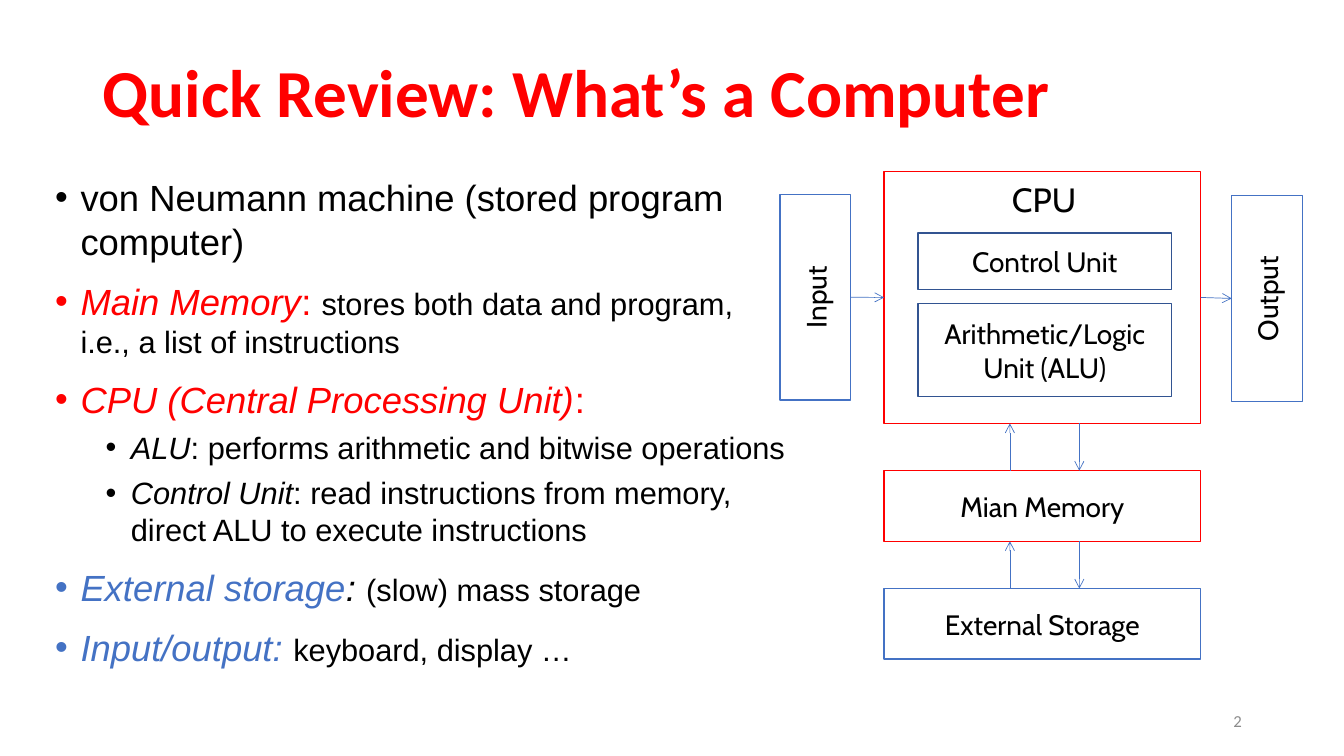
from dataclasses import dataclass
from lxml.etree import SubElement as Sub
from pptx import Presentation
from pptx.dml.color import RGBColor as RGB
from pptx.enum.shapes import MSO_CONNECTOR as Line, MSO_SHAPE as Shape
from pptx.enum.text import MSO_ANCHOR as Anchor, PP_ALIGN as Align
from pptx.oxml.ns import qn
from pptx.util import Cm, Pt


@dataclass(frozen=True)
class Theme:
    red: str = "FF0000"
    blue: str = "4472C4"
    navy: str = "325491"
    black: str = "000000"
    white: str = "FFFFFF"
    gray: str = "8C8C8C"
    head: str = "Calibri"
    body: str = "Arial"
    label: str = "Cabin"
    title: int = 48
    big: int = 26
    cpu: int = 24
    mid: int = 22
    box: int = 20
    small: int = 12


T = Theme()


class Board:
    def __init__(self, slide, theme):
        self.shapes = slide.shapes
        self.theme = theme

    def style(self, font, name=None, size=None, color=None, bold=None, italic=None):
        """Set only the font traits that are given."""
        if name:
            font.name = name
        if size:
            font.size = Pt(size)
        if color:
            font.color.rgb = RGB.from_string(color)
        if bold is not None:
            font.bold = bold
        if italic is not None:
            font.italic = italic

    def frame(self, x, y, w, h, anchor=Anchor.TOP):
        frame = self.shapes.add_textbox(Cm(x), Cm(y), Cm(w), Cm(h)).text_frame
        frame.word_wrap = True
        frame.vertical_anchor = anchor
        return frame

    def text(self, words, area, align=Align.LEFT, anchor=Anchor.MIDDLE, **font):
        para = self.frame(*area, anchor).paragraphs[0]
        para.text = words
        para.alignment = align
        self.style(para.font, **font)
        return para

    def bullets(self, area, items):
        """Each item is a level and its runs: words, size, color, italic."""
        frame = self.frame(*area)
        for i, (level, runs) in enumerate(items):
            para = frame.add_paragraph() if i else frame.paragraphs[0]
            para.level = level
            if i:
                para.space_before = Pt(6 if level else 12)
            props = para._p.get_or_add_pPr()
            props.set("marL", str(Cm(1.91 if level else 0.64)))
            props.set("indent", str(Cm(-0.64)))
            Sub(props, qn("a:buFont")).set("typeface", self.theme.body)
            Sub(props, qn("a:buChar")).set("char", "•")
            self.style(para.font, name=self.theme.body)
            for words, size, color, italic in runs:
                run = para.add_run()
                run.text = words
                self.style(run.font, size=size, color=color, italic=italic)

    def box(self, words, color, x, y, w, h, turn=0):
        box = self.shapes.add_shape(Shape.RECTANGLE, Cm(x), Cm(y), Cm(w), Cm(h))
        box.shadow.inherit = False
        box.rotation = turn
        box.fill.solid()
        box.fill.fore_color.rgb = RGB.from_string(self.theme.white)
        box.line.color.rgb = RGB.from_string(color)
        box.line.width = Pt(1)
        if words:
            frame = box.text_frame
            frame.word_wrap = True
            frame.vertical_anchor = Anchor.MIDDLE
            para = frame.paragraphs[0]
            para.text = words
            para.alignment = Align.CENTER
            self.style(para.font, self.theme.label, self.theme.box, self.theme.black)
        return box

    def arrow(self, x1, y1, x2, y2, start=None, end=None):
        """Start and end are (box, side) pairs to join."""
        ends = [Cm(v) for v in (x1, y1, x2, y2)]
        line = self.shapes.add_connector(Line.STRAIGHT, *ends)
        if start:
            line.begin_connect(*start)
        if end:
            line.end_connect(*end)
        # Joining ignores the turn of a box, so the ends are placed again.
        line.begin_x, line.begin_y, line.end_x, line.end_y = ends
        line.line.color.rgb = RGB.from_string(self.theme.blue)
        line.line.width = Pt(0.5)
        Sub(line.line._get_or_add_ln(), qn("a:tailEnd")).set("type", "arrow")
        Sub(line._element.spPr, qn("a:effectLst"))


def draw(board):
    title = board.text("Quick Review: What’s a Computer", (2.34, 1.02, 29.21, 2.79),
                       name=T.head, size=T.title, color=T.red, bold=True)
    title.line_spacing = 0.9

    board.bullets((1.14, 4.29, 18.97, 13.36), [
        (0, [("von Neumann machine (stored program computer)", T.big, T.black, False)]),
        (0, [("Main Memory", T.big, T.red, True), (": ", T.big, T.red, False),
             ("stores both data and program, i.e., a list of instructions",
              T.mid, T.black, False)]),
        (0, [("CPU (Central Processing Unit)", T.big, T.red, True),
             (":", T.big, T.red, False)]),
        (1, [("ALU", T.mid, T.black, True),
             (": performs arithmetic and bitwise operations", T.mid, T.black, False)]),
        (1, [("Control Unit", T.mid, T.black, True),
             (": read instructions from memory, direct ALU to execute instructions",
              T.mid, T.black, False)]),
        (0, [("External storage", T.big, T.blue, True), (": ", T.big, T.black, True),
             ("(slow) mass storage", T.mid, T.black, False)]),
        (0, [("Input/output: ", T.big, T.blue, True),
             ("keyboard, display …", T.mid, T.black, False)]),
    ])
    board.text("2", (23.93, 17.65, 7.62, 1.02), Align.RIGHT,
               name=T.head, size=T.small, color=T.gray)

    left, top, wide, tall = 22.28, 4.32, 7.98, 6.35
    slim, gap = 1.78, 1.19
    cpu = board.box("", T.red, left, top, wide, tall)
    board.box("Control Unit", T.navy, 23.14, 5.87, 6.38, 1.42)
    board.box("Arithmetic/Logic Unit (ALU)", T.navy, 23.14, 7.65, 6.38, 2.34)
    board.text("CPU", (22.83, 4.39, 6.96, 1.27), Align.CENTER, Anchor.TOP,
               name=T.label, size=T.cpu, color=T.black)

    y = top + tall
    for words, color in (("Mian Memory", T.red), ("External Storage", T.blue)):
        board.box(words, color, left, y + gap, wide, slim)
        board.arrow(25.45, y + gap, 25.45, y)
        board.arrow(27.2, y, 27.2, y + gap)
        y += gap + slim

    # Turned by 270 degrees, side 2 faces right and side 0 faces left.
    enter = board.box("Input", T.blue, 17.96, 6.6, 5.18, slim, 270)
    leave = board.box("Output", T.blue, 29.34, 6.63, 5.18, slim, 270)
    mid = top + tall / 2
    board.arrow(21.44, 7.49, left, mid, (enter, 2), (cpu, 1))
    board.arrow(left + wide, mid, 31.04, 7.52, (cpu, 3), (leave, 0))


def main():
    deck = Presentation()
    deck.slide_width, deck.slide_height = Cm(33.87), Cm(19.05)
    draw(Board(deck.slides.add_slide(deck.slide_layouts[6]), T))
    deck.save("out.pptx")


if __name__ == "__main__":
    main()
